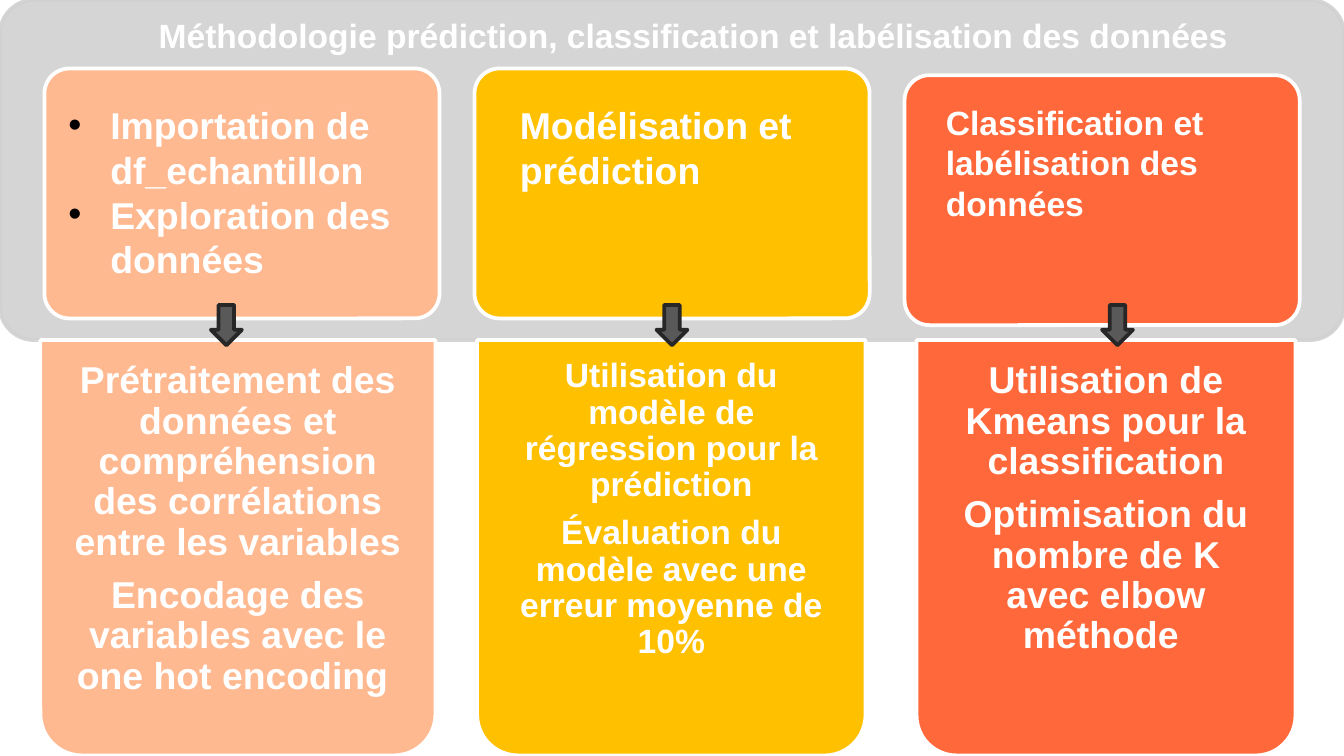
from lxml.etree import SubElement
from pptx import Presentation
from pptx.dml.color import RGBColor as Rgb
from pptx.enum.shapes import MSO_SHAPE as Form
from pptx.enum.text import MSO_ANCHOR as Anchor, MSO_AUTO_SIZE as Auto, PP_ALIGN as Align
from pptx.oxml.ns import qn
from pptx.util import Pt

HUES = {"band": "D1D1D1", "peach": "FFB991", "gold": "FFC000", "coral": "FF683A",
        "white": "FFFFFF", "arrow": "595959", "edge": "272727", "dot": "000000"}
BAND = (0, 0, 720, 182.2)
STEPS = [
    {"hue": "peach", "top": 36.7, "panel": (21.6, 211.7), "head": (29.5, 200, 104.4),
     "names": ["Importation de df_echantillon", "Exploration des données"],
     "list": True, "size": 20, "pad": 11.5, "body": 20,
     "notes": ["Prétraitement des données et compréhension des corrélations entre les variables",
               "Encodage des variables avec le one hot encoding "]},
    {"hue": "gold", "top": 36.7, "panel": (255.6, 208.1), "head": (271.4, 178, 55.4),
     "names": ["Modélisation et prédiction"],
     "list": False, "size": 20, "pad": 10, "body": 18,
     "notes": ["Utilisation du modèle de régression pour la prédiction",
               "Évaluation du modèle avec une erreur moyenne de 10%"]},
    {"hue": "coral", "top": 40.3, "panel": (491, 203), "head": (499.7, 191, 72.7),
     "names": ["Classification et labélisation des données"],
     "list": False, "size": 18, "pad": 11.5, "body": 20,
     "notes": ["Utilisation de Kmeans pour la classification",
               "Optimisation du nombre de K avec elbow méthode "]},
]


class Deck:
    """Holds the style and the current slide."""

    def __init__(self, wide, high, font="Arial"):
        self.font = font
        self.prs = Presentation()
        self.prs.slide_width, self.prs.slide_height = Pt(wide), Pt(high)
        self.slide = self.prs.slides.add_slide(self.prs.slide_layouts[5])

    def shape(self, form, box, fill, edge, adj=(), turn=0, alpha=None):
        item = self.slide.shapes.add_shape(form, *map(Pt, box))
        item.shadow.inherit = False
        item.rotation = turn
        for i, part in enumerate(adj):
            item.adjustments[i] = part
        item.fill.solid()
        item.fill.fore_color.rgb = Rgb.from_string(HUES[fill])
        item.line.color.rgb = Rgb.from_string(HUES[edge])
        item.line.width = Pt(2)
        if alpha:
            for tint in item.element.spPr.iter(qn("a:srgbClr")):
                SubElement(tint, qn("a:alpha"), val=str(alpha * 1000))

    def lines(self, frame, texts, size, align=Align.LEFT, space=None, after=0, dots=False):
        frame.vertical_anchor = Anchor.TOP
        for i, text in enumerate(texts):
            para = frame.add_paragraph() if i else frame.paragraphs[0]
            para.alignment = align
            para.line_spacing = space
            para.space_after = Pt(after)
            if dots:
                self.bullet(para)
            run = para.add_run()
            run.text = text
            run.font.name, run.font.size, run.font.bold = self.font, Pt(size), True
            run.font.color.rgb = Rgb.from_string(HUES["white"])

    def bullet(self, para):
        prop = para._p.get_or_add_pPr()
        prop.set("marL", str(Pt(22.5)))
        prop.set("indent", str(-Pt(22.5)))
        SubElement(SubElement(prop, qn("a:buClr")), qn("a:srgbClr"), val=HUES["dot"])
        SubElement(prop, qn("a:buFont"), typeface=self.font)
        SubElement(prop, qn("a:buChar"), char="•")

    def text(self, box, texts, size, pad=None, **look):
        frame = self.slide.shapes.add_textbox(*map(Pt, box)).text_frame
        frame.word_wrap = True
        if pad:
            frame.margin_left = frame.margin_right = Pt(pad)
            frame.margin_top = frame.margin_bottom = Pt(pad)
        self.lines(frame, texts, size, **look)

    def title(self, box, text, size):
        item = self.slide.shapes.title
        item.left, item.top, item.width, item.height = map(Pt, box)
        item.text_frame.word_wrap = False
        item.text_frame.auto_size = Auto.NONE
        self.lines(item.text_frame, [text], size)
        item.element.getparent().append(item.element)

    def save(self):
        self.prs.save("out.pptx")


def main():
    deck = Deck(720, 405)
    deck.shape(Form.ROUNDED_RECTANGLE, BAND, "band", "band", [0.1], alpha=90)
    base = BAND[3]
    for i, step in enumerate(STEPS):
        hue, body = step["hue"], step["body"]
        left, wide = step["panel"]
        card = (23.8 + 230.4 * i, step["top"], 211.7, 133.9)
        deck.shape(Form.ROUNDED_RECTANGLE, card, hue, "white", [0.1])
        deck.shape(Form.ROUND_2_SAME_RECTANGLE, (left, base, wide, 222.5), hue, "white",
                   [0.105, 0], turn=180)
        deck.text((left + 6.5, base, wide - 13, 216), step["notes"], body, step["pad"],
                  align=Align.CENTER, space=0.9, after=0.35 * body)
    for i, step in enumerate(STEPS):
        left, wide, high = step["head"]
        deck.text((left, 51.1, wide, high), step["names"], step["size"], dots=step["list"])
        deck.shape(Form.DOWN_ARROW, (113 + 238.7 * i, 163.4, 16.6, 21.6), "arrow", "edge")
    deck.title((77.8, 4.5, 598.3, 29),
               "Méthodologie prédiction, classification et labélisation des données", 18)
    deck.save()


if __name__ == "__main__":
    main()
